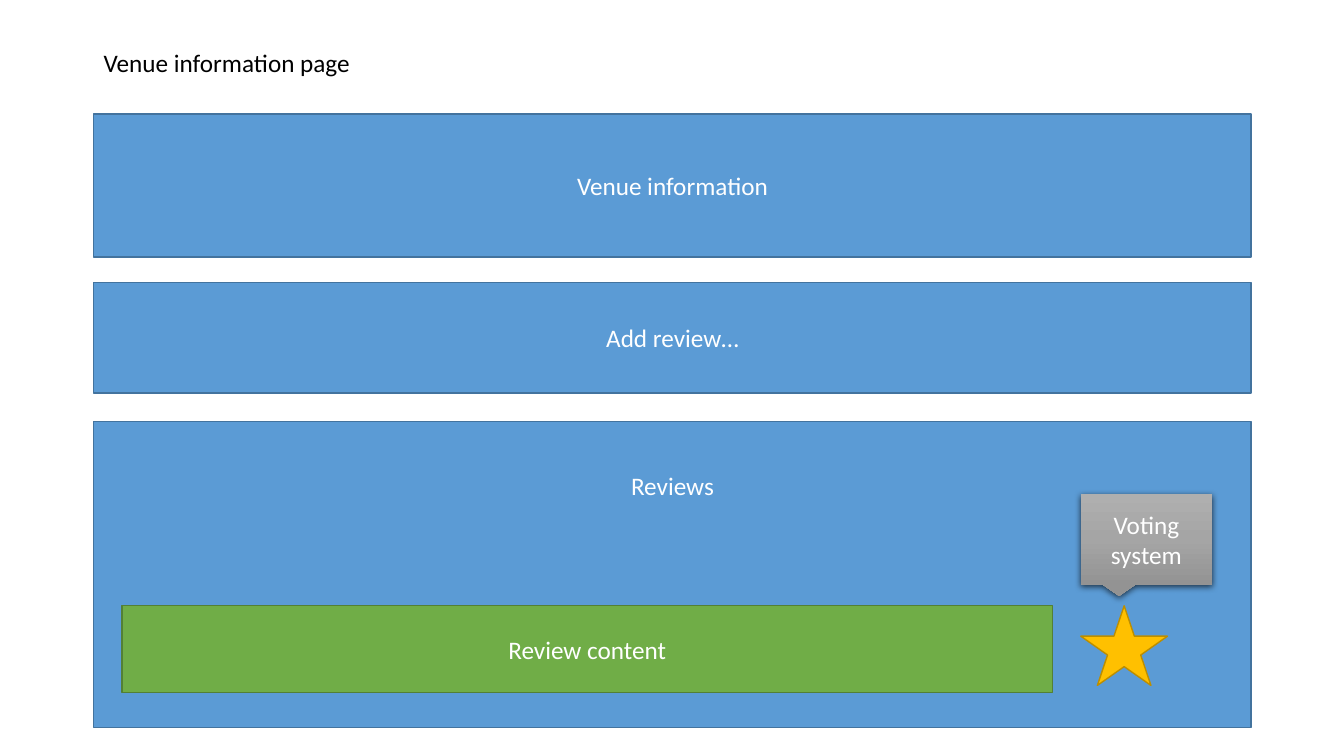
"""Build a wireframe slide of a venue information page."""
from lxml.etree import fromstring
from pptx import Presentation
from pptx.dml.color import RGBColor
from pptx.enum.shapes import MSO_SHAPE
from pptx.enum.text import MSO_ANCHOR, PP_ALIGN
from pptx.oxml.ns import nsdecls, qn
from pptx.util import Inches, Pt

COLORS = {
    "black": "000000", "white": "FFFFFF",
    "blue": "5B9BD5", "navy": "43739E",
    "green": "70AD47", "moss": "538035",
    "gold": "FFC000", "brown": "BD8E00",
    "light": "AFAFAF", "gray": "A5A5A5", "dark": "939393",
}


def tint(name):
    return RGBColor.from_string(COLORS[name])


def write(shape, text, color="white", size=18, font="Calibri",
          align=PP_ALIGN.CENTER, anchor=MSO_ANCHOR.MIDDLE, top=0.05):
    frame = shape.text_frame
    frame.word_wrap = True
    frame.vertical_anchor = anchor
    frame.margin_top = Inches(top)
    para = frame.paragraphs[0]
    para.alignment = align
    run = para.add_run()
    run.text = text
    run.font.size = Pt(size)
    run.font.name = font
    run.font.color.rgb = tint(color)


class Page:
    def __init__(self, slide, line=1):
        self.slide = slide
        self.line = line

    def label(self, text, *box, **style):
        shape = self.slide.shapes.add_textbox(*map(Inches, box))
        write(shape, text, **style)

    def block(self, kind, box, fill=None, edge=None, text=None, **style):
        shape = self.slide.shapes.add_shape(kind, *map(Inches, box))
        shape.shadow.inherit = False
        if fill:
            shape.fill.solid()
            shape.fill.fore_color.rgb = tint(fill)
        if edge:
            shape.line.color.rgb = tint(edge)
            shape.line.width = Pt(self.line)
        else:
            shape.line.fill.background()
        if text:
            write(shape, text, **style)
        return shape

    def bubble(self, text, *box):
        shape = self.block(MSO_SHAPE.RECTANGULAR_CALLOUT, box, text=text)
        stops = "".join(
            f'<a:gs pos="{place}"><a:srgbClr val="{COLORS[name]}"/></a:gs>'
            for place, name in ((0, "light"), (50000, "gray"), (100000, "dark")))
        props = shape.element.spPr
        props.find(qn("a:prstGeom")).addnext(fromstring(
            f'<a:gradFill {nsdecls("a")}><a:gsLst>{stops}</a:gsLst>'
            '<a:lin ang="5400000" scaled="0"/></a:gradFill>'))
        props.find(qn("a:effectLst")).append(fromstring(
            f'<a:outerShdw {nsdecls("a")} blurRad="{Pt(4.5)}" dist="{Pt(1.5)}" '
            'dir="5400000" algn="ctr" rotWithShape="0">'
            f'<a:srgbClr val="{COLORS["black"]}"><a:alpha val="63000"/>'
            '</a:srgbClr></a:outerShdw>'))


deck = Presentation()
deck.slide_width, deck.slide_height = Inches(13.33), Inches(7.5)
page = Page(deck.slides.add_slide(deck.slide_layouts[6]))

LEFT, WIDTH = 0.93, 11.48
page.label("Venue information page", LEFT, 0.42, 3.15, 0.4, color="black",
           align=PP_ALIGN.LEFT, anchor=MSO_ANCHOR.TOP)
for text, top, height, style in (
        ("Venue information", 1.13, 1.42, {}),
        ("Add review…", 2.8, 1.1, {}),
        ("Reviews", 4.18, 3.04, {"anchor": MSO_ANCHOR.TOP, "top": 0.49})):
    page.block(MSO_SHAPE.RECTANGLE, (LEFT, top, WIDTH, height),
               "blue", "navy", text, **style)

ROW, VOTE = 6.01, 10.72
page.block(MSO_SHAPE.RECTANGLE, (1.21, ROW, 9.23, 0.86),
           "green", "moss", "Review content")
page.block(MSO_SHAPE.STAR_5_POINT, (VOTE, ROW, 0.86, 0.79), "gold", "brown")
page.bubble("Voting system", VOTE, 4.9, 1.3, 0.9)

deck.save("out.pptx")
